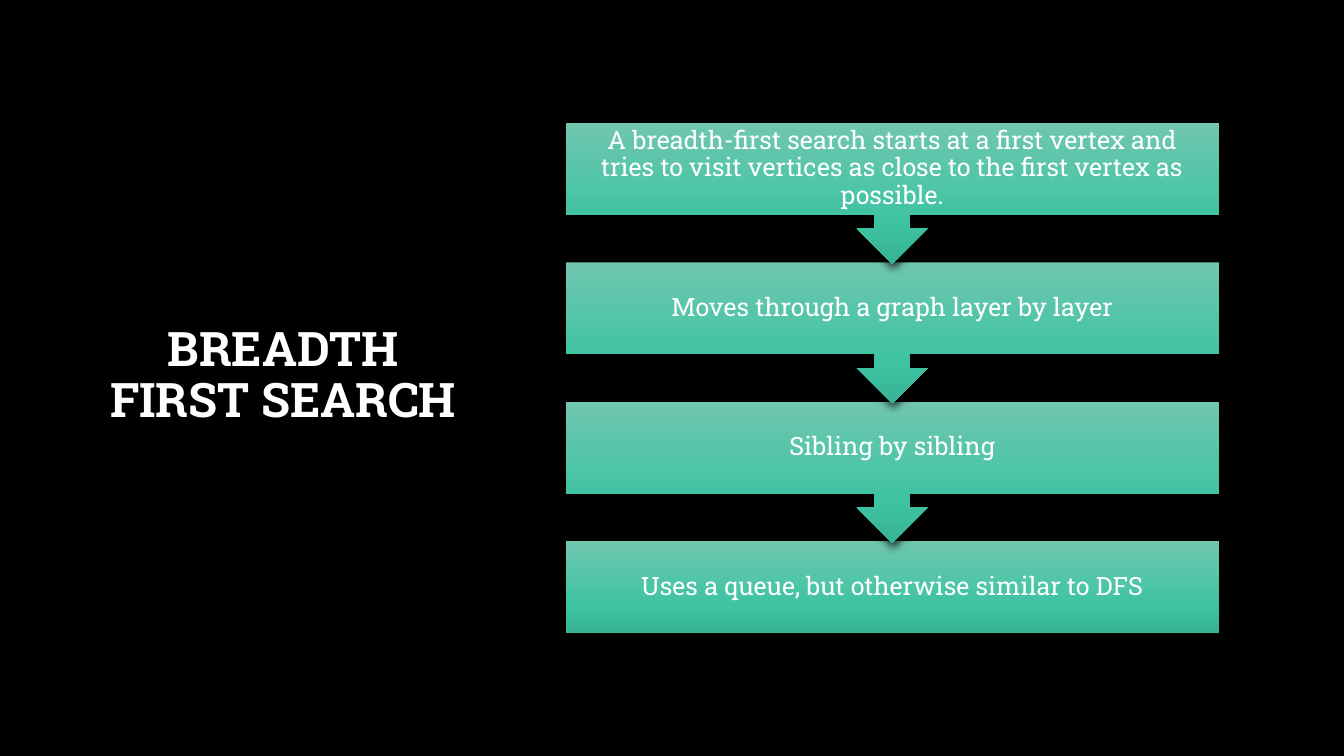
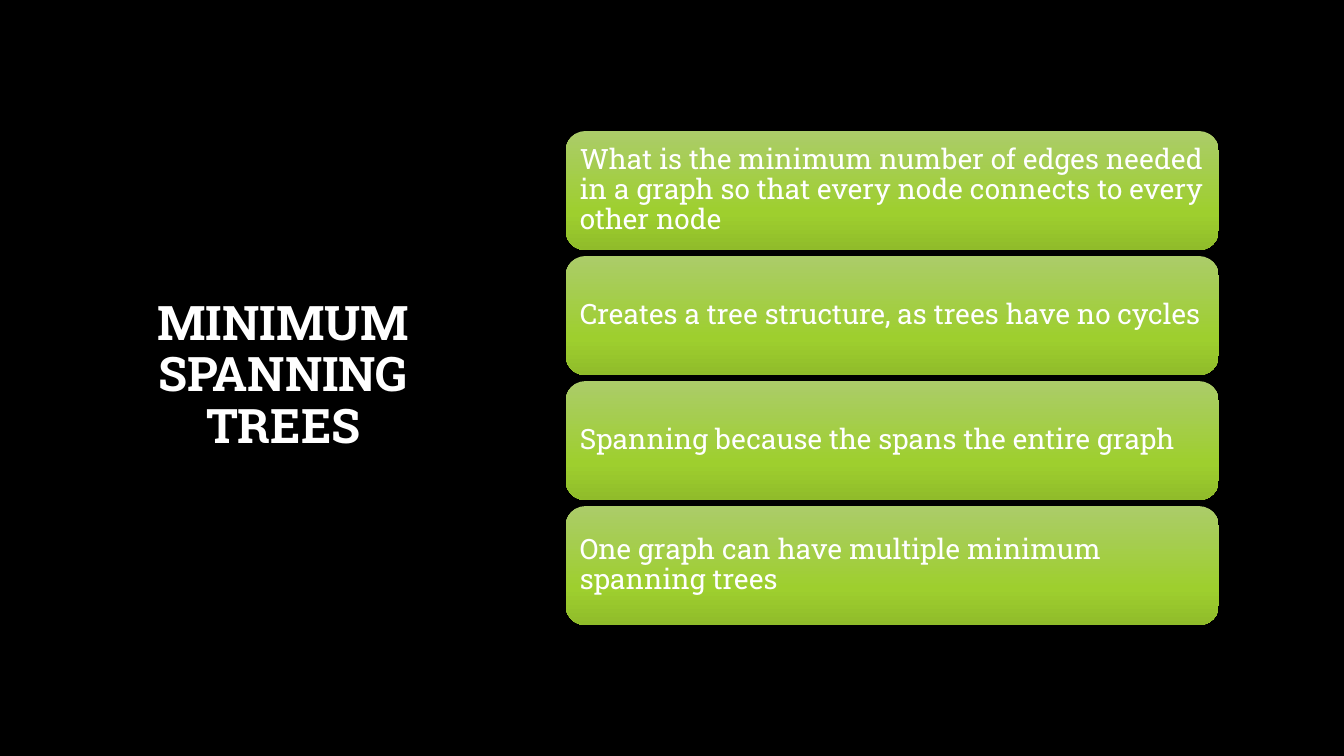
from copy import deepcopy
from dataclasses import dataclass

from lxml import etree
from pptx import Presentation
from pptx.dml.color import RGBColor
from pptx.enum.shapes import MSO_SHAPE
from pptx.enum.text import MSO_ANCHOR, PP_ALIGN
from pptx.oxml.ns import qn
from pptx.util import Pt

RECT = MSO_SHAPE.RECTANGLE
ROUND = MSO_SHAPE.ROUNDED_RECTANGLE
CALLOUT = MSO_SHAPE.DOWN_ARROW_CALLOUT
CENTER, LEFT = PP_ALIGN.CENTER, PP_ALIGN.LEFT
MIDDLE = MSO_ANCHOR.MIDDLE


@dataclass(frozen=True)
class Theme:
    font: str = "Roboto Slab"
    back: str = "000000"
    text: str = "FFFFFF"
    teal: tuple[str, ...] = ("70C6AF", "3EC4A3", "37B395")
    green: tuple[str, ...] = ("ABCC69", "9ECF2E", "90BC2A")
    stops: tuple[float, ...] = (0, 0.69, 1)
    title_size: float = 34
    flow_size: float = 18
    list_size: float = 20
    line_spacing: float = 0.9


@dataclass(frozen=True)
class Stack:
    """A column of equal boxes, spaced by a fixed pitch."""
    title: str
    items: tuple[str, ...]
    colors: tuple[str, ...]
    size: float
    align: PP_ALIGN
    inset: float
    top: float
    pitch: float
    height: float
    shape: MSO_SHAPE
    last_shape: MSO_SHAPE
    last_height: float
    bottom_up: bool = False  # upper arrows overlap the box below


T = Theme()
BOX_LEFT, BOX_WIDTH = 404, 466.6
TITLE_AREA = (59, 48.2, 286.6, 441.4)

STACKS = (
    Stack("BREADTH FIRST SEARCH",
          ("A breadth-first search starts at a first vertex and tries to visit "
           "vertices as close to the first vertex as possible.",
           "Moves through a graph layer by layer",
           "Sibling by sibling",
           "Uses a queue, but otherwise similar to DFS"),
          T.teal, T.flow_size, CENTER, 10, 87.8, 99.65, 100.7,
          CALLOUT, RECT, 65.5, bottom_up=True),
    Stack("MINIMUM SPANNING TREES",
          ("What is the minimum number of edges needed in a graph so that "
           "every node connects to every other node",
           "Creates a tree structure, as trees have no cycles",
           "Spanning because the spans the entire graph",
           "One graph can have multiple minimum spanning trees"),
          T.green, T.list_size, LEFT, 6, 93.6, 89.3, 85,
          ROUND, ROUND, 85),
)


def rgb(color: str) -> RGBColor:
    return RGBColor.from_string(color)


def set_text(sp, text: str, size: float, align: PP_ALIGN,
             bold: bool = False, inset: float | None = None) -> None:
    tf = sp.text_frame
    frame = {"word_wrap": True, "vertical_anchor": MIDDLE}
    if inset is not None:
        for side in ("left", "top", "right", "bottom"):
            frame[f"margin_{side}"] = Pt(inset)
    p = tf.paragraphs[0]
    r = p.add_run()
    r.text = text
    formats = (
        (tf, frame),
        (p, {"alignment": align, "line_spacing": T.line_spacing}),
        (r.font, {"name": T.font, "size": Pt(size), "bold": bold}),
    )
    for target, values in formats:
        for name, value in values.items():
            setattr(target, name, value)
    r.font.color.rgb = rgb(T.text)


def set_gradient(sp, colors: tuple[str, ...]) -> None:
    sp.fill.gradient()
    sp.fill.gradient_angle = 270  # counter-clockwise: runs top to bottom
    stops = sp._element.spPr.find(".//" + qn("a:gsLst"))
    stops.append(deepcopy(stops[-1]))
    for stop, color, pos in zip(sp.fill.gradient_stops, colors, T.stops):
        stop.color.rgb = rgb(color)
        stop.position = pos


def set_shadow(sp) -> None:
    sp.shadow.inherit = False
    effects = sp._element.spPr.find(qn("a:effectLst"))
    shadow = etree.SubElement(
        effects, qn("a:outerShdw"), blurRad=str(Pt(6)), dist=str(Pt(3)),
        dir="5400000", algn="ctr", rotWithShape="0")
    color = etree.SubElement(shadow, qn("a:srgbClr"), val="000000")
    etree.SubElement(color, qn("a:alpha"), val="76000")


def add_title(s, text: str) -> None:
    sp = s.shapes.add_textbox(*map(Pt, TITLE_AREA))
    set_text(sp, text, T.title_size, CENTER, bold=True)


def add_box(s, stack: Stack, i: int) -> None:
    last = i == len(stack.items) - 1
    kind = stack.last_shape if last else stack.shape
    height = stack.last_height if last else stack.height
    top = stack.top + i * stack.pitch
    sp = s.shapes.add_shape(kind, Pt(BOX_LEFT), Pt(top), Pt(BOX_WIDTH), Pt(height))
    set_gradient(sp, stack.colors)
    sp.line.fill.background()
    set_shadow(sp)
    set_text(sp, stack.items[i], stack.size, stack.align, inset=stack.inset)


def add_stack_slide(prs, stack: Stack) -> None:
    s = prs.slides.add_slide(prs.slide_layouts[6])
    # Background and title
    s.background.fill.solid()
    s.background.fill.fore_color.rgb = rgb(T.back)
    add_title(s, stack.title)
    # Column of boxes
    order = range(len(stack.items))
    for i in reversed(order) if stack.bottom_up else order:
        add_box(s, stack, i)


def main() -> None:
    prs = Presentation()
    prs.slide_width, prs.slide_height = Pt(960), Pt(540)
    for stack in STACKS:
        add_stack_slide(prs, stack)
    prs.save("out.pptx")


if __name__ == "__main__":
    main()
